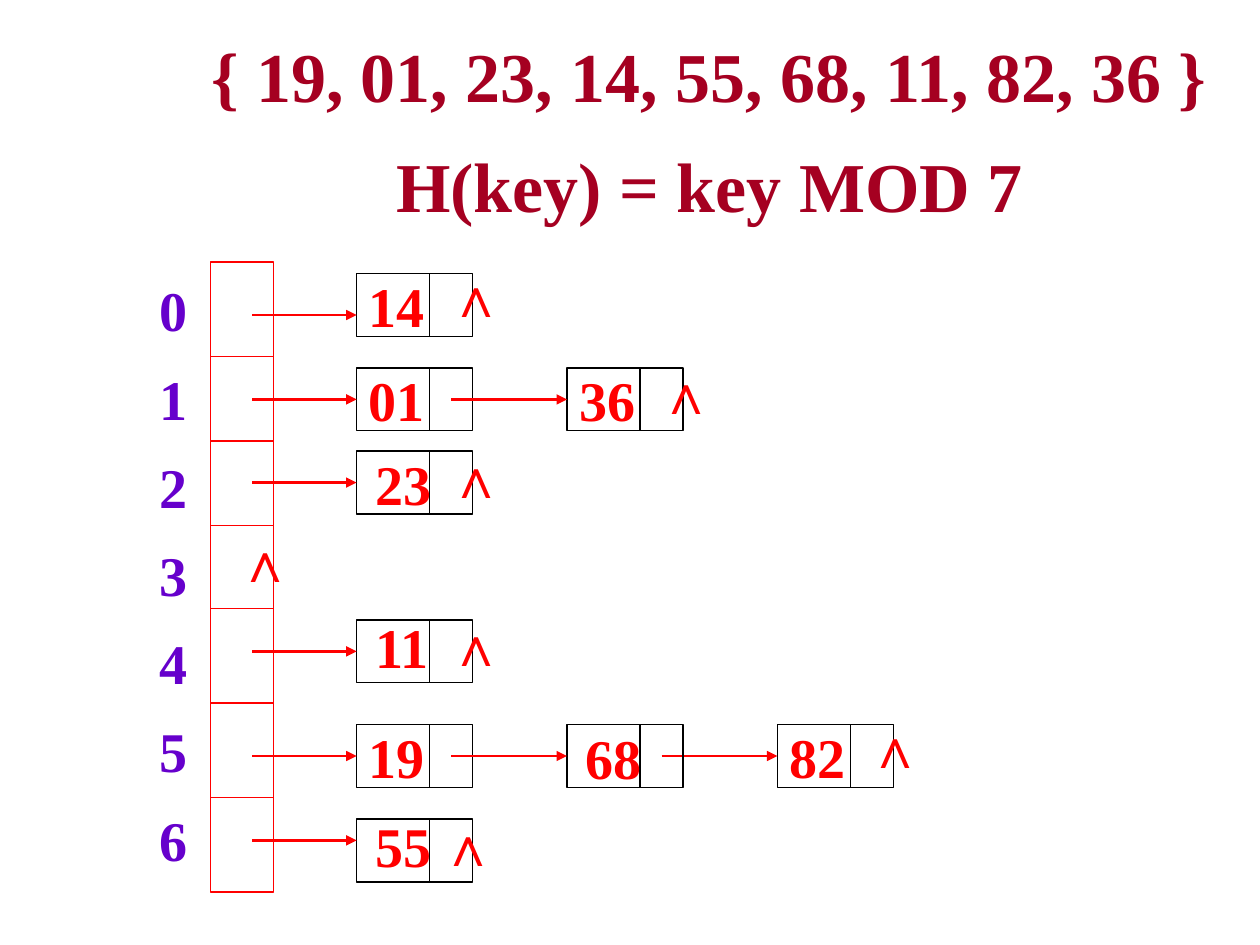
from dataclasses import dataclass
from typing import Optional

from pptx import Presentation
from pptx.dml.color import RGBColor as Rgb
from pptx.enum.shapes import MSO_CONNECTOR as Link, MSO_SHAPE as Form
from pptx.enum.text import MSO_ANCHOR as Anchor, MSO_AUTO_SIZE as Fit, PP_ALIGN as Align
from pptx.oxml.ns import qn
from pptx.util import Inches, Pt

HUES = {"red": "FF0000", "black": "000000", "violet": "6600CC", "wine": "A50021"}
SERIF, SANS = "Times New Roman", "Arial"
LEFT, STEP, WIDE, HIGH = 2.83, 1.67, 0.92, 0.5
SPLIT = 0.58


@dataclass
class Node:
    key: str
    col: int
    top: float
    drop: float = 0.25
    text: Optional[float] = None


@dataclass
class Label:
    lines: list[str]
    box: tuple[float, float, float, float]
    hue: str
    size: int = 32
    font: str = SERIF
    wrap: bool = False
    para: Optional[dict] = None


NODES = [
    Node("14", 0, 2.17, drop=0.33),
    Node("01", 0, 2.92),
    Node("19", 0, 5.75),
    Node("36", 1, 2.92),
    Node("82", 2, 5.75),
    Node("23", 0, 3.58, text=3.52),
    Node("11", 0, 4.92, text=4.81),
    Node("68", 1, 5.75, text=5.69),
    Node("55", 0, 6.5, drop=0.17, text=6.39),
]
RULES = [2.83, 3.5, 4.17, 4.83, 5.58, 6.33]
ENDS = [(3.46, 2.03), (5.13, 2.8), (3.46, 3.46), (3.46, 4.8),
        (6.79, 5.61), (3.4, 6.38), (1.79, 4.13)]


def apply(thing, vals: dict) -> None:
    for name, val in vals.items():
        setattr(thing, name, val)


def shade(hue: str) -> Rgb:
    return Rgb.from_string(HUES[hue])


def write(frame, label: Label) -> None:
    apply(frame, {"word_wrap": label.wrap})
    for i, line in enumerate(label.lines):
        para = frame.paragraphs[0] if i == 0 else frame.add_paragraph()
        apply(para, {"alignment": Align.LEFT} | (label.para or {}))
        run = para.add_run()
        run.text = line
        apply(run.font, {"name": label.font, "size": Pt(label.size), "bold": True})
        run.font.color.rgb = shade(label.hue)


def put(slide, label: Label) -> None:
    frame = slide.shapes.add_textbox(*map(Inches, label.box)).text_frame
    write(frame, label)
    frame.auto_size = Fit.SHAPE_TO_FIT_TEXT


def rect(slide, box: tuple[float, float, float, float], hue: str):
    shape = slide.shapes.add_shape(Form.RECTANGLE, *map(Inches, box))
    shape.shadow.inherit = False
    shape.fill.background()
    shape.line.color.rgb = shade(hue)
    shape.line.width = Pt(0.75)
    return shape


def wire(slide, ends: tuple[float, float, float, float], hue: str, arrow: bool = False) -> None:
    link = slide.shapes.add_connector(Link.STRAIGHT, *map(Inches, ends))
    link.line.color.rgb = shade(hue)
    link.line.width = Pt(1.5 if arrow else 0.75)
    props = link._element.spPr
    if arrow:
        stroke = props.find(qn("a:ln"))
        stroke.append(stroke.makeelement(qn("a:tailEnd"), {"type": "triangle"}))
    props.append(props.makeelement(qn("a:effectLst"), {}))


def draw(slide, node: Node) -> None:
    x, y = LEFT + STEP * node.col, node.top
    shape = rect(slide, (x, y, WIDE, HIGH), "black")
    wire(slide, (x + SPLIT, y, x + SPLIT, y + HIGH), "black")
    start = x - 0.92 if node.col else 2
    wire(slide, (start, y + node.drop, x, y + node.drop), "red", arrow=True)
    label = Label([node.key], (x + 0.05, node.text or y, 0.66, 0.64), "red")
    if node.text:
        put(slide, label)
    else:
        write(shape.text_frame, label)
        apply(shape.text_frame, {"vertical_anchor": Anchor.MIDDLE})


def main() -> None:
    deck = Presentation()
    apply(deck, {"slide_width": Inches(10), "slide_height": Inches(7.5)})
    slide = deck.slides.add_slide(deck.slide_layouts[6])
    rect(slide, (1.67, 2.08, 0.5, 5), "red")
    for y in RULES:
        wire(slide, (1.67, y, 2.17, y), "red")
    put(slide, Label([str(i) for i in range(7)], (1.17, 2.14, 0.58, 4.84), "violet",
                     wrap=True, para={"space_before": Pt(12)}))
    for node in NODES:
        draw(slide, node)
    for x, y in ENDS:
        put(slide, Label(["∧"], (x, y, 0.35, 0.64), "red", font=SANS))
    mid = {"alignment": Align.CENTER}
    put(slide, Label(["{ 19, 01, 23, 14, 55, 68, 11, 82, 36 }"], (1.25, 0.04, 8.75, 0.94),
                     "wine", 40, wrap=True, para=mid | {"line_spacing": 1.25}))
    put(slide, Label(["H(key) = key MOD 7"], (2.17, 1.08, 6.92, 0.77),
                     "wine", 40, wrap=True, para=mid))
    deck.save("out.pptx")


if __name__ == "__main__":
    main()
